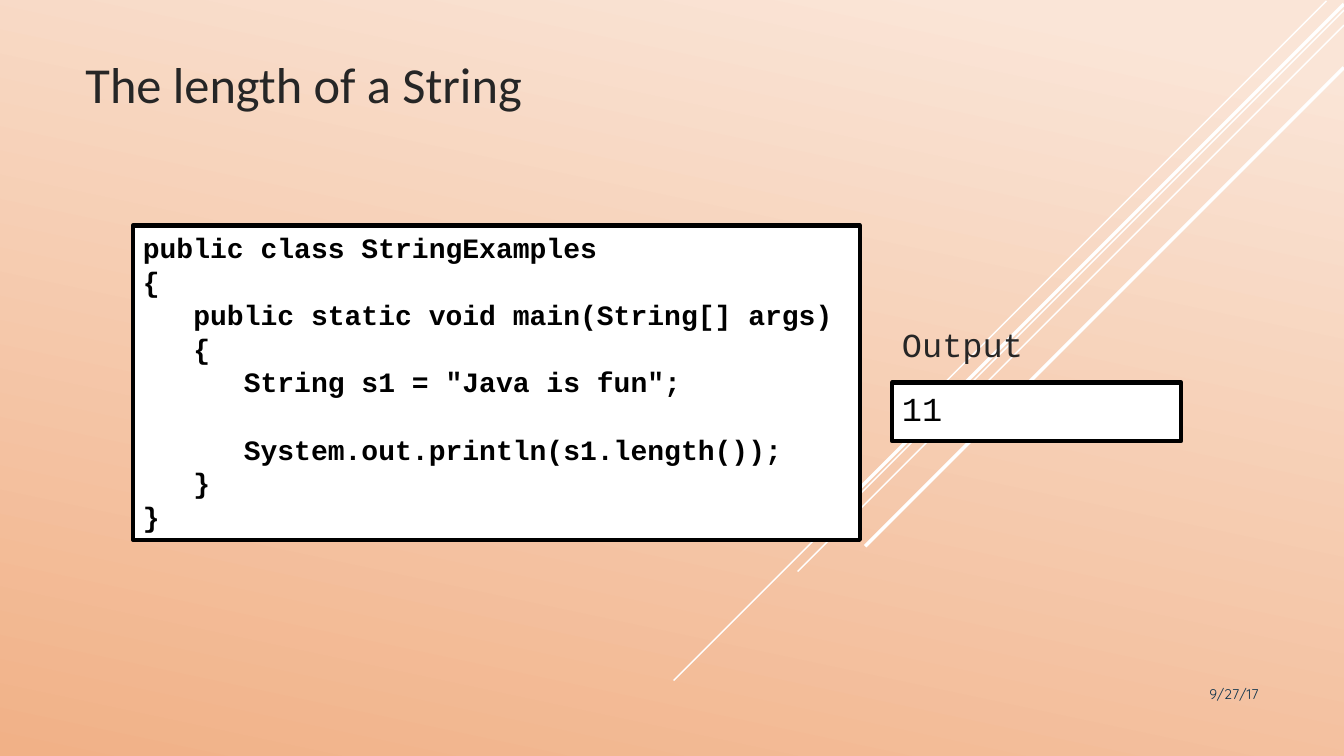
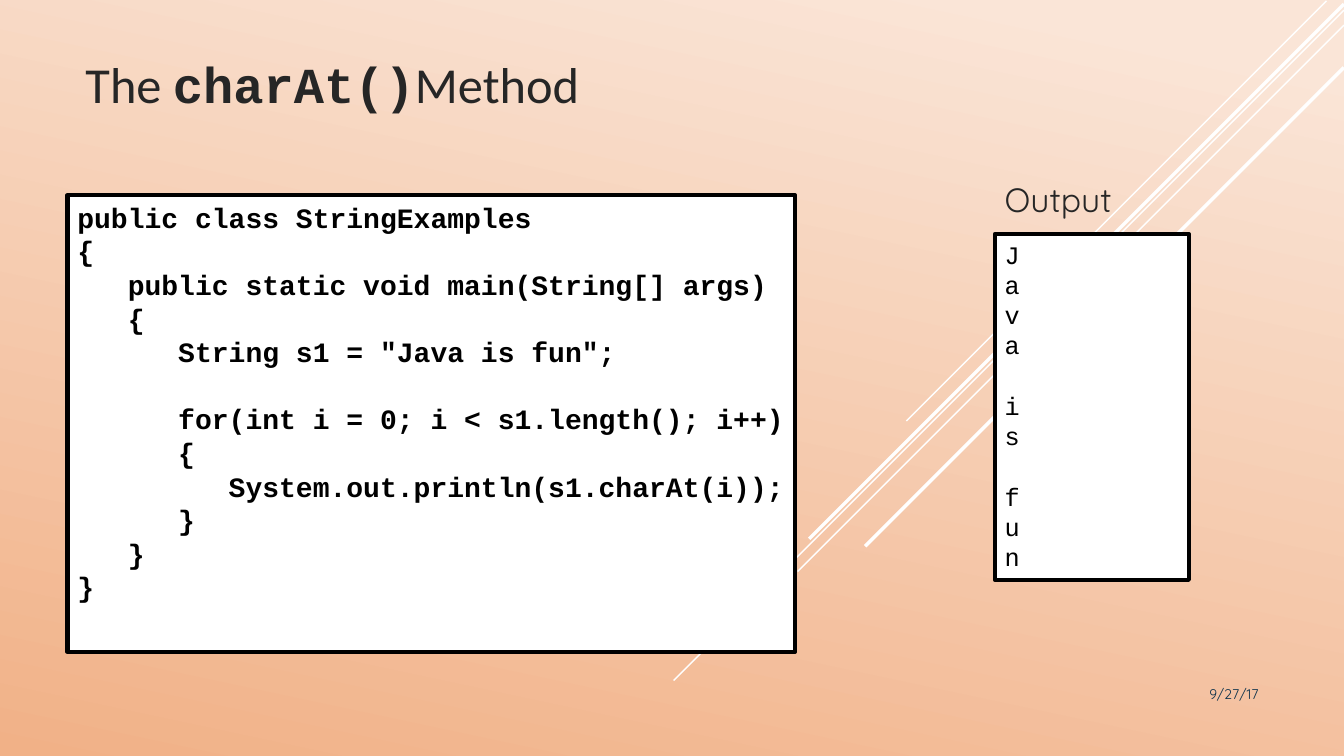
from dataclasses import dataclass

from lxml.etree import SubElement
from pptx import Presentation
from pptx.dml.color import RGBColor
from pptx.enum.shapes import MSO_CONNECTOR, MSO_SHAPE
from pptx.enum.text import MSO_ANCHOR, PP_ALIGN
from pptx.oxml.ns import qn
from pptx.shapes.autoshape import Shape
from pptx.slide import Slide
from pptx.text.text import Font
from pptx.util import Pt

# Shared style
WHITE, BLACK, TEXT, DATE = "FFFFFF", "000000", "262626", "0A304A"
GRADIENT = [(0.07, "FAE5D7"), (1, "F1B187")]
SANS, MONO, LIGHT = "Calibri", "Courier New", "Quicksand"


@dataclass(frozen=True)
class Box:
    left: float
    top: float
    width: float
    height: float


@dataclass(frozen=True)
class Style:
    face: str
    size: float
    color: str
    bold: bool = False


@dataclass(frozen=True)
class Ray:
    """A 45 degree line running down and left from its start."""
    x: float
    y: float
    reach: float
    weight: float


@dataclass(frozen=True)
class Example:
    title: list[tuple[str, Style]]
    code: str
    code_box: Box
    label_box: Box
    label_face: str
    output: str
    output_box: Box
    output_size: float


TITLE_STYLE = Style(SANS, 36, TEXT)
TITLE_CODE = Style(MONO, 36, TEXT, True)
CODE_STYLE = Style(MONO, 20, BLACK, True)
DATE_STYLE = Style(LIGHT, 10, DATE)
TITLE_BOX = Box(54, 10.8, 777.6, 74.2)
DATE_BOX = Box(780, 486, 126, 28.8)

RAYS = [
    Ray(947.5, 0.7, 300, 1),
    Ray(960, 7.2, 478.8, 1),
    Ray(960, 18, 390.2, 1),
    Ray(960, 2.9, 382, 2.5),
    Ray(960, 48.2, 342, 2.5),
]

# Slide contents
LENGTH_CODE = """public class StringExamples
{
   public static void main(String[] args)
   {
      String s1 = "Java is fun";

      System.out.println(s1.length());
   }
}"""

CHAR_AT_CODE = """public class StringExamples
{
   public static void main(String[] args)
   {
      String s1 = "Java is fun";

      for(int i = 0; i < s1.length(); i++)
      {
         System.out.println(s1.charAt(i));
      }
   }
}"""

EXAMPLES = [
    Example(
        title=[("The length of a String", TITLE_STYLE)],
        code=LENGTH_CODE,
        code_box=Box(95, 161, 519.2, 224.6),
        label_box=Box(637.2, 228.2, 120.2, 38.9),
        label_face=MONO,
        output="11",
        output_box=Box(637.2, 273.3, 206.6, 41.8),
        output_size=24,
    ),
    Example(
        title=[("The ", TITLE_STYLE), ("charAt()", TITLE_CODE), ("Method", TITLE_STYLE)],
        code=CHAR_AT_CODE,
        code_box=Box(48.2, 139.5, 519.6, 326.2),
        label_box=Box(710.6, 124.6, 120.2, 38.9),
        label_face=LIGHT,
        output="\n".join("Java is fun"),
        output_box=Box(710.6, 167.2, 138.6, 247),
        output_size=18,
    ),
]


def rgb(color: str) -> RGBColor:
    return RGBColor.from_string(color)


def place(box: Box) -> tuple[Pt, Pt, Pt, Pt]:
    return Pt(box.left), Pt(box.top), Pt(box.width), Pt(box.height)


def set_font(font: Font, style: Style) -> None:
    font.name = style.face
    font.size = Pt(style.size)
    font.bold = style.bold
    font.color.rgb = rgb(style.color)


def write(shape: Shape, text: str, style: Style, align: PP_ALIGN = PP_ALIGN.LEFT) -> None:
    """Fill a shape with one paragraph; newlines become line breaks."""
    frame = shape.text_frame
    frame.word_wrap = True
    frame.vertical_anchor = MSO_ANCHOR.TOP
    paragraph = frame.paragraphs[0]
    paragraph.text = text
    paragraph.alignment = align
    set_font(paragraph.font, style)


def add_label(slide: Slide, box: Box, text: str, style: Style,
              align: PP_ALIGN = PP_ALIGN.LEFT) -> None:
    write(slide.shapes.add_textbox(*place(box)), text, style, align)


def add_panel(slide: Slide, box: Box, text: str, style: Style) -> None:
    panel = slide.shapes.add_shape(MSO_SHAPE.RECTANGLE, *place(box))
    panel.shadow.inherit = False
    panel.fill.solid()
    panel.fill.fore_color.rgb = rgb(WHITE)
    panel.line.color.rgb = rgb(BLACK)
    panel.line.width = Pt(3)
    # The longest code lines need the full width up to the border
    panel.text_frame.margin_right = 0
    write(panel, text, style)


def add_title(slide: Slide, parts: list[tuple[str, Style]]) -> None:
    frame = slide.shapes.add_textbox(*place(TITLE_BOX)).text_frame
    frame.word_wrap = True
    frame.vertical_anchor = MSO_ANCHOR.BOTTOM
    for text, style in parts:
        run = frame.paragraphs[0].add_run()
        run.text = text
        set_font(run.font, style)


def add_backdrop(slide: Slide) -> None:
    fill = slide.background.fill
    fill.gradient()
    fill.gradient_angle = 258
    for stop, (position, color) in zip(fill.gradient_stops, GRADIENT):
        stop.position = position
        stop.color.rgb = rgb(color)
    for ray in RAYS:
        line = slide.shapes.add_connector(
            MSO_CONNECTOR.STRAIGHT, Pt(ray.x), Pt(ray.y),
            Pt(ray.x - ray.reach), Pt(ray.y + ray.reach))
        line.line.color.rgb = rgb(WHITE)
        line.line.width = Pt(ray.weight)
        SubElement(line._element.spPr, qn("a:effectLst"))


def add_example(presentation: Presentation, example: Example) -> None:
    slide = presentation.slides.add_slide(presentation.slide_layouts[6])
    add_backdrop(slide)
    add_title(slide, example.title)
    add_label(slide, DATE_BOX, "9/27/17", DATE_STYLE, PP_ALIGN.RIGHT)
    add_panel(slide, example.code_box, example.code, CODE_STYLE)
    add_label(slide, example.label_box, "Output", Style(example.label_face, 24, TEXT))
    add_panel(slide, example.output_box, example.output,
              Style(MONO, example.output_size, BLACK))


def main() -> None:
    presentation = Presentation()
    presentation.slide_width = Pt(960)
    presentation.slide_height = Pt(540)
    for example in EXAMPLES:
        add_example(presentation, example)
    presentation.save("out.pptx")


if __name__ == "__main__":
    main()
